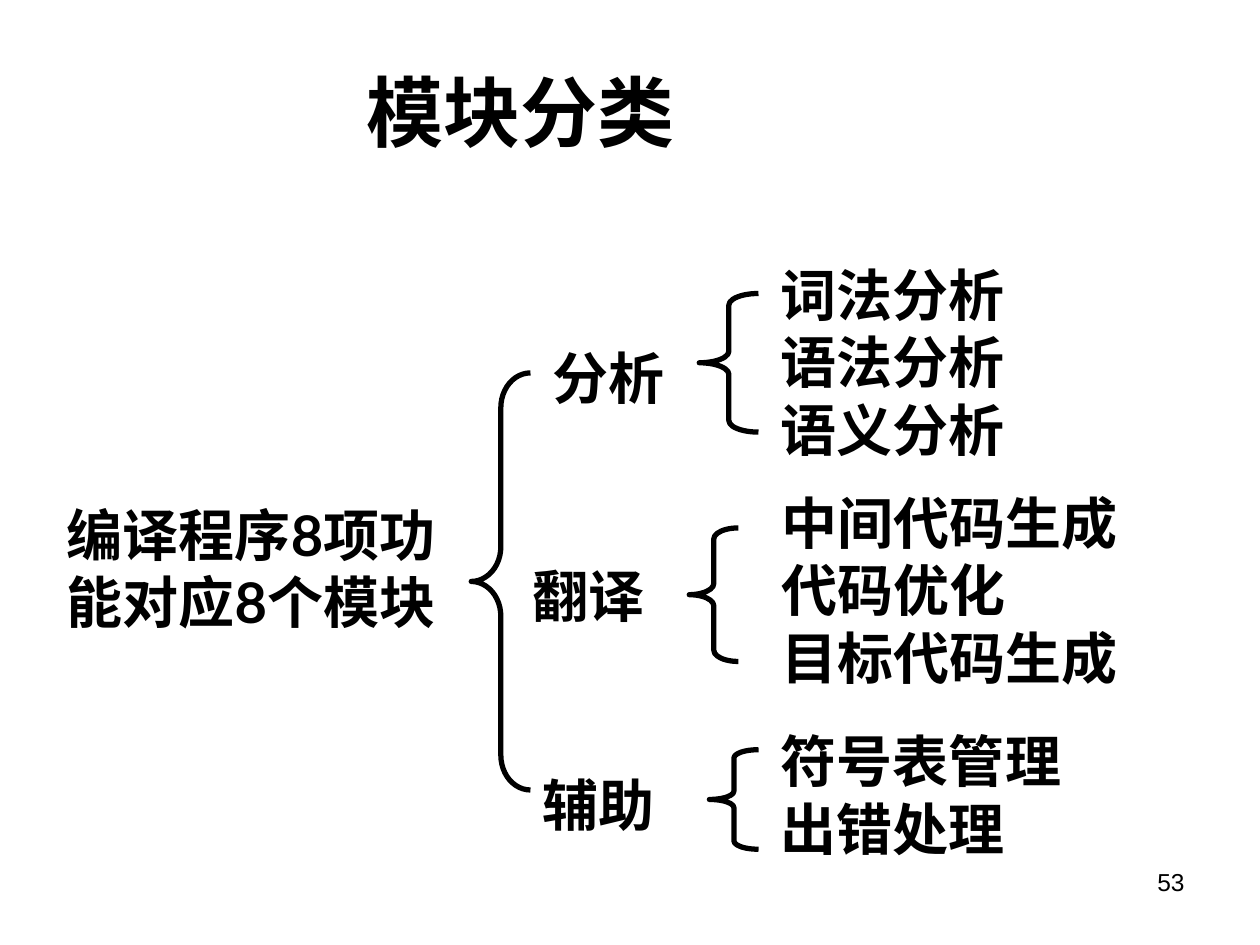
from pptx import Presentation
from pptx.dml.color import RGBColor
from pptx.enum import shapes, text
from pptx.oxml.ns import qn
from pptx.util import Inches, Pt

BLACK = RGBColor(0, 0, 0)
CJK = "Noto Sans CJK JP"
ALIGN = text.PP_ALIGN


class Diagram:
    def __init__(self, prs):
        self.s = prs.slides.add_slide(prs.slide_layouts[5])
        self.font = {"name": CJK, "size": Pt(32), "bold": True}

    def fill_text(self, sp, lines, align=ALIGN.LEFT, spacing=1.0, **font):
        tf = sp.text_frame
        tf.word_wrap = True
        tf.text = "\n".join(lines)
        for p in tf.paragraphs:
            p.alignment, p.line_spacing = align, spacing
            for r in p.runs:
                for key, value in {**self.font, **font}.items():
                    setattr(r.font, key, value)
                r.font.color.rgb = BLACK
                r_pr = r._r.get_or_add_rPr()
                r_pr.append(r_pr.makeelement(qn("a:ea"), {"typeface": CJK}))

    def title(self, words, *box):
        sp = self.s.shapes.title
        sp.left, sp.top, sp.width, sp.height = map(Inches, box)
        sp.text_frame.vertical_anchor = text.MSO_ANCHOR.MIDDLE
        self.fill_text(sp, [words], ALIGN.CENTER, size=Pt(44))
        sp.text_frame.auto_size = text.MSO_AUTO_SIZE.NONE

    def label(self, lines, *box, **style):
        self.fill_text(self.s.shapes.add_textbox(*map(Inches, box)), lines, **style)

    def brace(self, x, y, w, h):
        """Left brace whose curls are each a twelfth of its height."""
        sp = self.s.shapes.add_shape(shapes.MSO_SHAPE.LEFT_BRACE, *map(Inches, (x, y, w, h)))
        sp.adjustments[0] = h / 12 / w
        sp.shadow.inherit = False
        sp.fill.background()
        sp.line.color.rgb = BLACK
        sp.line.width = Pt(3)


# group name, its box, brace box, member names, their box
GROUPS = [
    ("分析", (4.29, 2.49, 1.1, 0.87), (5.55, 2.33, 0.47, 1.1),
     ["词法分析", "语法分析", "语义分析"], (6.1, 2.02, 2.44, 1.81)),
    ("翻译", (4.13, 4.22, 1.1, 0.87), (5.47, 4.19, 0.39, 1.06),
     ["中间代码生成", "代码优化", "目标代码生成"], (6.1, 3.83, 2.99, 1.73)),
    ("辅助", (4.21, 5.88, 1.26, 0.87), (5.63, 5.95, 0.39, 0.79),
     ["符号表管理", "出错处理"], (6.1, 5.72, 2.76, 1.34)),
]


def main():
    prs = Presentation()
    prs.slide_width, prs.slide_height = Inches(10), Inches(7.5)
    d = Diagram(prs)
    d.title("模块分类", 0.98, 0.6, 6.3, 0.55)
    d.label(["编译程序8项功能对应8个模块"], 0.43, 3.92, 3.47, 1.17, name="Lato")
    d.brace(3.74, 2.96, 0.47, 3.31)
    for name, name_box, brace_box, members, members_box in GROUPS:
        d.label([name], *name_box, spacing=1.35)
        d.brace(*brace_box)
        d.label(members, *members_box)
    d.label(["53"], 7.17, 6.83, 2.33, 0.52, align=ALIGN.RIGHT,
            name="Arial", size=Pt(14), bold=False)
    prs.save("out.pptx")


if __name__ == "__main__":
    main()
